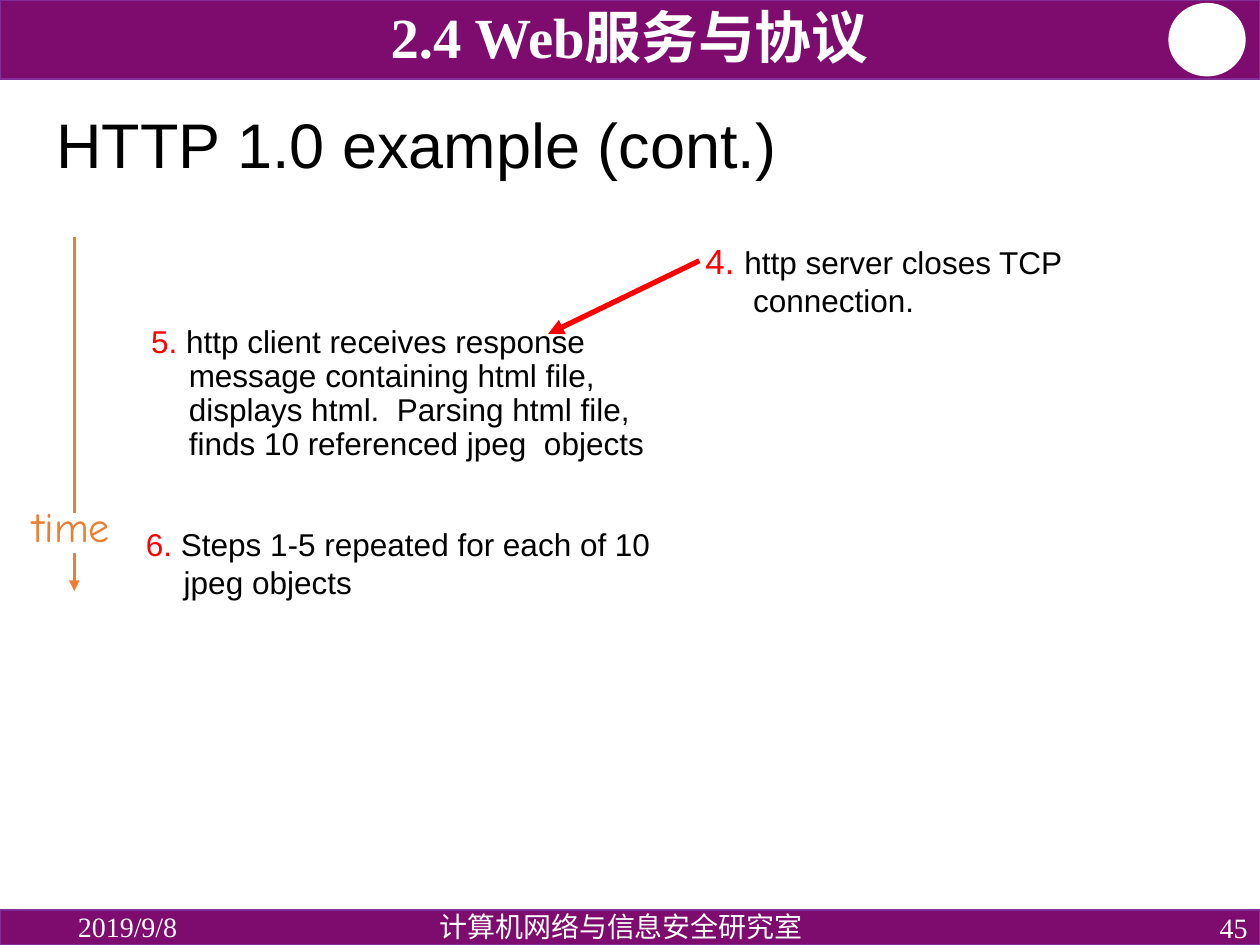
from pptx import Presentation
from pptx import util as u
from pptx.dml.color import RGBColor
from pptx.enum import shapes, text
from pptx.oxml.ns import qn
from lxml import etree

Pt = u.Pt
A, PA = text.MSO_ANCHOR, text.PP_ALIGN
SHAPE = shapes.MSO_SHAPE

THEME = {
    "purple": "7E0C6E", "edge": "7F2F95", "white": "FFFFFF", "black": "000000",
    "red": "FF0000", "orange": "ED7D31",
    "sans": "Arial", "serif": "Times New Roman", "hand": "Comic Neue",
    "header": 32.4, "title": 36, "time": 24, "lead": 20, "body": 18, "footer": 16,
}
W, H = 720, 540

# Boxes are left, top, width, height
BARS = [(0, 0, W, 45.36), (0, 519.84, W, 20.16)]
BADGE = (668.16, 2.16, 43.2, 41.04)
HEADER = ("2.4 Web服务与协议", (51.84, 2.88, 615.6, 40.32))
TITLE = ("HTTP 1.0 example (cont.)", (25.2, 52.56, 666.72, 64.08))
FOOTERS = [
    ("2019/9/8", (37.44, 519.84, 162, 18.72), PA.LEFT, A.MIDDLE, 1),
    ("45", (558, 519.84, 162, 20.16), PA.RIGHT, A.MIDDLE, 1),
    ("计算机网络与信息安全研究室", (193.68, 518.4, 322.56, 20.16), PA.CENTER, A.TOP, 0.9),
]
# number, number size, wording, box, hanging indent, line spacing
STEPS = [
    ("5.", "body", " http client receives response message containing html file, "
     "displays html.  Parsing html file, finds 10 referenced jpeg  objects",
     (79.2, 182.88, 325.44, 114.48), 21.6, 0.9),
    ("6.", "body", " Steps 1-5 repeated for each of 10 jpeg objects",
     (76.32, 296.64, 308.88, 52.56), 21.6, 1),
    ("4. ", "lead", "http server closes TCP connection.",
     (396, 133.2, 300.24, 57.6), 27.36, 1),
]
TIME_LABEL = ("time", (11.52, 282.24, 64.08, 36))
TIME_GAP = (23.76, 293.04, 27.36, 23.04)
TIME_ARROW = ((42.48, 135.36), (42.48, 337.68), "orange", 1.5)
CLOSE_ARROW = ((399.6, 149.04), (313.2, 190.8), "red", 3)


def color(name):
    return RGBColor.from_string(THEME[name])


def add_filled(s, kind, box, fill, line=None):
    sp = s.shapes.add_shape(kind, *map(Pt, box))
    sp.shadow.inherit = False
    sp.fill.solid()
    sp.fill.fore_color.rgb = color(fill)
    if line:
        sp.line.color.rgb = color(line)
        sp.line.width = Pt(1)
    else:
        sp.line.fill.background()


def add_text(s, runs, box, font, align=PA.LEFT, anchor=A.TOP, spacing=1,
             hang=0, wrap=True, bold=False):
    """Add a one-paragraph box; runs hold (wording, size name, colour name)."""
    tf = s.shapes.add_textbox(*map(Pt, box)).text_frame
    tf.word_wrap = wrap
    tf.vertical_anchor = anchor
    p = tf.paragraphs[0]
    p.alignment = align
    p.line_spacing = spacing
    if hang:
        pPr = p._p.get_or_add_pPr()
        pPr.set("marL", str(Pt(hang)))
        pPr.set("indent", str(-Pt(hang)))
    for wording, size, ink in runs:
        r = p.add_run()
        r.text = wording
        r.font.name = THEME[font]
        r.font.size = Pt(THEME[size])
        r.font.color.rgb = color(ink)
        r.font.bold = bold


def add_arrow(s, start, end, ink, width):
    line = s.shapes.add_connector(shapes.MSO_CONNECTOR.STRAIGHT, *map(Pt, start + end))
    line.line.color.rgb = color(ink)
    line.line.width = Pt(width)
    etree.SubElement(line.line._get_or_add_ln(), qn("a:tailEnd"), type="triangle")
    etree.SubElement(line._element.spPr, qn("a:effectLst"))


def main():
    prs = Presentation()
    prs.slide_width, prs.slide_height = Pt(W), Pt(H)
    s = prs.slides.add_slide(prs.slide_layouts[6])

    for bar in BARS:
        add_filled(s, SHAPE.RECTANGLE, bar, "purple", "edge")
    add_filled(s, SHAPE.OVAL, BADGE, "white", "white")
    for wording, box, align, anchor, spacing in FOOTERS:
        add_text(s, [(wording, "footer", "white")], box, "serif", align, anchor, spacing)

    wording, box = TITLE
    add_text(s, [(wording, "title", "black")], box, "sans", anchor=A.MIDDLE, spacing=0.9)
    for number, size, wording, box, hang, spacing in STEPS:
        add_text(s, [(number, size, "red"), (wording, "body", "black")], box, "sans",
                 spacing=spacing, hang=hang)

    add_arrow(s, *TIME_ARROW)
    add_filled(s, SHAPE.RECTANGLE, TIME_GAP, "white")
    wording, box = TIME_LABEL
    add_text(s, [(wording, "time", "orange")], box, "hand", wrap=False)
    add_arrow(s, *CLOSE_ARROW)

    wording, box = HEADER
    add_text(s, [(wording, "header", "white")], box, "serif", PA.CENTER, A.BOTTOM, 0.8,
             bold=True)
    prs.save("out.pptx")


if __name__ == "__main__":
    main()
